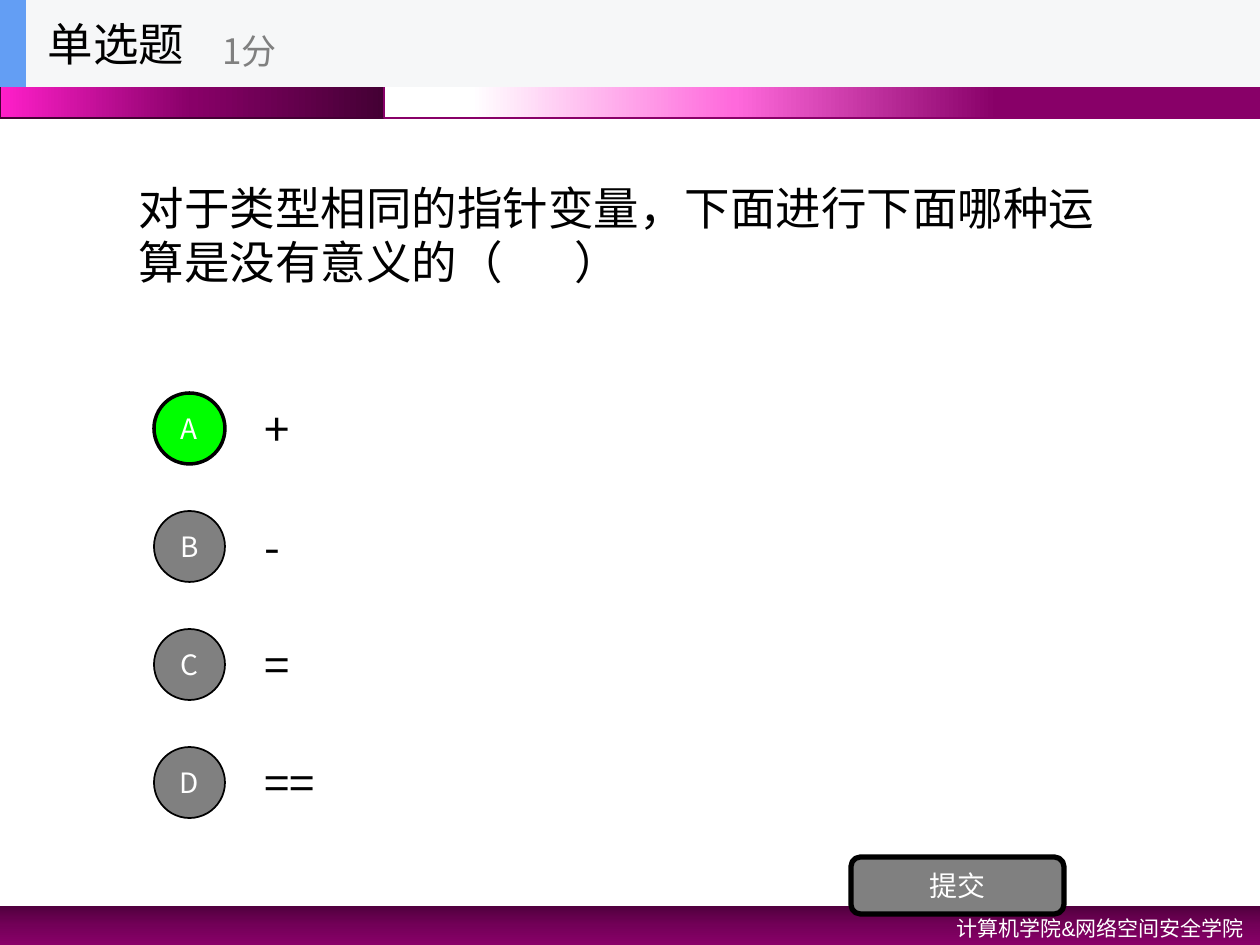
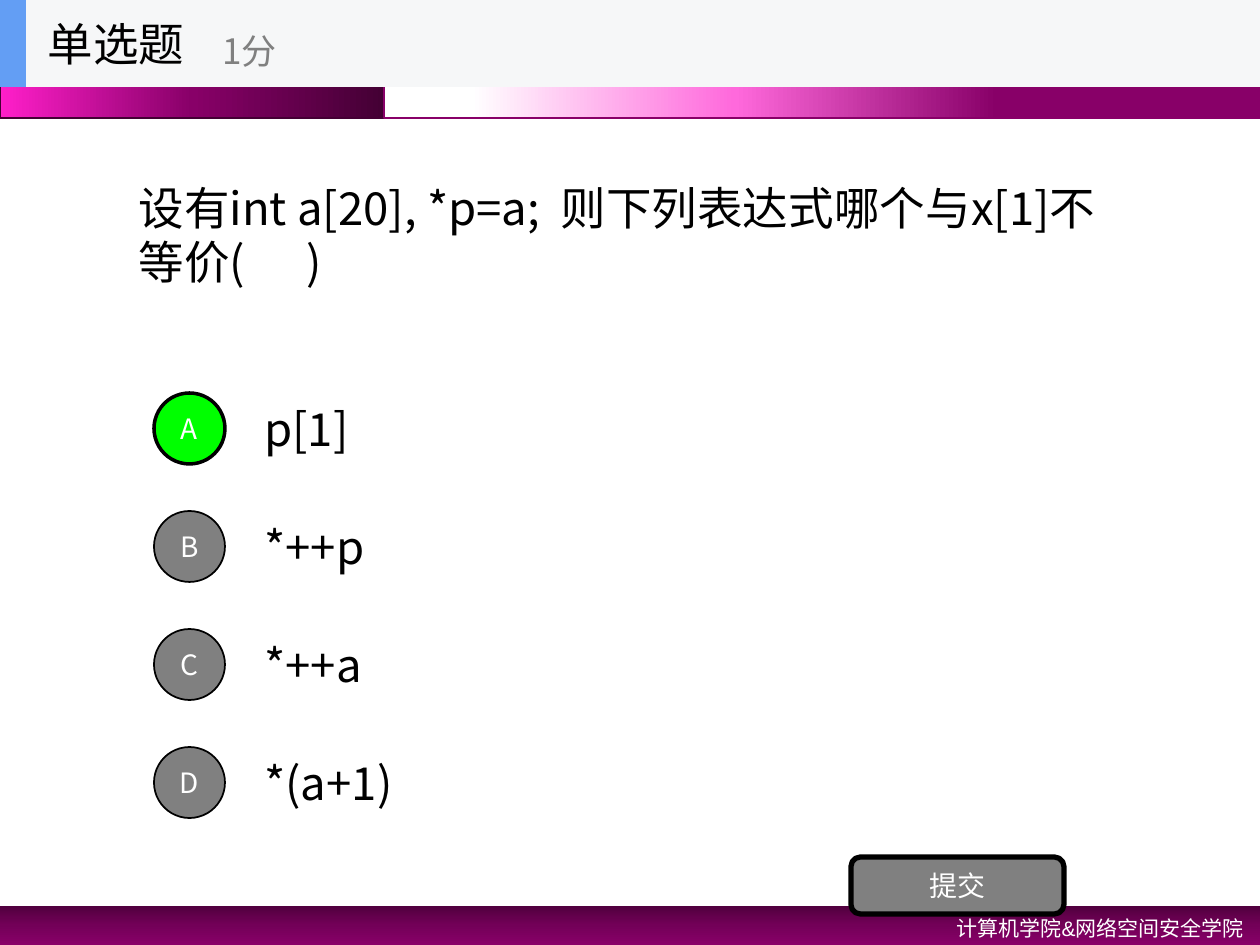
"""Build two single-choice quiz slides with shared bands and footer."""
import copy

import pptx
import pptx.dml.color
import pptx.enum.shapes
import pptx.enum.text
import pptx.oxml
import pptx.oxml.ns
import pptx.util

COLORS = {
    "black": "000000", "white": "FFFFFF", "grey": "808080", "correct": "00FF00",
    "header": "F6F7F8", "accent": "639EF4", "plum": "880068", "dark plum": "440034",
    "footer top": "51003E", "footer middle": "730058", "magenta": "FF1FCA", "pink": "FF69DC",
}
SCALE = 914400 / 126
CJK_FONT = "Noto Sans CJK SC"
SHAPES = pptx.enum.shapes.MSO_SHAPE
ALIGN = pptx.enum.text.PP_ALIGN
FOOTER = "计算机学院&网络空间安全学院"
OPTION_TOP, OPTION_STEP = 384, 118
QUESTIONS = [
    ("对于类型相同的指针变量，下面进行下面哪种运算是没有意义的（       ）",
     ["+", "-", "=", "=="]),
    ("设有int a[20], *p=a;  则下列表达式哪个与x[1]不等价(      )",
     ["p[1]", "*++p", "*++a", "*(a+1)"]),
]


def emu(pixels):
    """Convert pixels to EMU."""
    return pptx.util.Emu(round(pixels * SCALE))


def rgb(name):
    """Look up a named colour."""
    return pptx.dml.color.RGBColor.from_string(COLORS[name])


class QuizDeck:
    """Hold the deck, its style and the current slide."""

    def __init__(self):
        """Open an empty deck of the right size."""
        self.deck = pptx.Presentation()
        self.deck.slide_width, self.deck.slide_height = emu(1260), emu(945)
        self.page = None

    def new_page(self):
        """Start a title and content slide."""
        self.page = self.deck.slides.add_slide(self.deck.slide_layouts[1])

    def set_text(self, box, text, size, color="black", align=ALIGN.LEFT, font=CJK_FONT,
                 spacing=1.0):
        """Put one formatted paragraph in a box."""
        frame = box.text_frame
        frame_format = {
            "word_wrap": True,
            "auto_size": pptx.enum.text.MSO_AUTO_SIZE.NONE,
            "vertical_anchor": pptx.enum.text.MSO_ANCHOR.MIDDLE,
        }
        for name, value in frame_format.items():
            setattr(frame, name, value)
        para = frame.paragraphs[0]
        para_format = {"alignment": align, "line_spacing": spacing, "space_before": pptx.util.Pt(0)}
        for name, value in para_format.items():
            setattr(para, name, value)
        span = para.add_run()
        span.text = text
        for name, value in {"name": font, "size": pptx.util.Pt(size)}.items():
            setattr(span.font, name, value)
        span.font.color.rgb = rgb(color)
        for latin in box.element.iter(pptx.oxml.ns.qn("a:latin")):
            east_asian = pptx.oxml.parse_xml(f'<a:ea {pptx.oxml.ns.nsdecls("a")}/>')
            east_asian.set("typeface", CJK_FONT)
            latin.addnext(east_asian)

    def label(self, place, text, size, **style):
        """Add a text box."""
        box = self.page.shapes.add_textbox(*map(emu, place))
        self.set_text(box, text, size, **style)

    def placeholder(self, index, place, text, size):
        """Fill a placeholder and bring it to the front."""
        box = self.page.placeholders[index]
        for name, value in zip(("left", "top", "width", "height"), place):
            setattr(box, name, emu(value))
        self.set_text(box, text, size)
        properties = next(box.element.iter(pptx.oxml.ns.qn("a:pPr")))
        for name in ("marL", "indent"):
            properties.set(name, "0")
        properties.append(pptx.oxml.parse_xml(f'<a:buNone {pptx.oxml.ns.nsdecls("a")}/>'))
        box.element.getparent().append(box.element)

    def shape(self, place, kind=SHAPES.RECTANGLE, fill=None, line=None, width=1):
        """Add a preset shape with an optional solid fill and outline."""
        shape = self.page.shapes.add_shape(kind, *map(emu, place))
        shape.shadow.inherit = False
        if fill:
            shape.fill.solid()
            shape.fill.fore_color.rgb = rgb(fill)
        if line:
            shape.line.color.rgb = rgb(line)
            shape.line.width = pptx.util.Pt(width)
        else:
            shape.line.fill.background()
        return shape

    def band(self, place, angle, stops, line=None):
        """Add a rectangle with a three-stop gradient."""
        shape = self.shape(place, line=line)
        shape.fill.gradient()
        shape.fill.gradient_angle = angle
        stop_list = next(shape.element.iter(pptx.oxml.ns.qn("a:gsLst")))
        stop_list.append(copy.deepcopy(stop_list[0]))
        for stop, (position, color) in zip(shape.fill.gradient_stops, stops):
            stop.position = position
            stop.color.rgb = rgb(color)

    def button(self, place, kind, text, fill, width):
        """Add an outlined shape with centred white text."""
        shape = self.shape(place, kind, fill, "black", width)
        self.set_text(shape, text, 16, color="white", align=ALIGN.CENTER)

    def background(self):
        """Draw the bands and the footer."""
        self.band((0, 906, 1260, 39), 270,
                  [(0, "footer top"), (0.5, "footer middle"), (1, "plum")])
        self.band((0, 0, 384, 118), 180,
                  [(0, "dark plum"), (0.5, "plum"), (1, "magenta")], "dark plum")
        self.band((384, 0, 876, 118), 180,
                  [(0.3, "plum"), (0.6, "pink"), (0.9, "white")], "plum")
        self.label((809, 906, 447, 40), FOOTER, 12, color="white", align=ALIGN.RIGHT,
                   font="Arial", spacing=1.2)

    def header(self):
        """Draw the header bar with the question type and score."""
        self.shape((0, 0, 1260, 87), fill="header")
        self.shape((0, 0, 26, 87), fill="accent")
        self.placeholder(0, (35, 0, 262, 87), "单选题", 26)
        self.label((210, 15, 315, 71), "1分", 20, color="grey")

    def option(self, index, text):
        """Draw one answer with its lettered circle."""
        top = OPTION_TOP + index * OPTION_STEP
        fill, width = ("correct", 2) if index == 0 else ("grey", 1)
        self.label((252, top, 882, 88), text, 26)
        self.button((154, top + 9, 71, 71), SHAPES.OVAL, "ABCD"[index], fill, width)

    def question(self, text, options):
        """Build one complete question slide."""
        self.new_page()
        self.background()
        self.placeholder(1, (126, 87, 1008, 295), text, 26)
        for index, option in enumerate(options):
            self.option(index, option)
        self.button((851, 857, 213, 57), SHAPES.ROUNDED_RECTANGLE, "提交", "grey", 3)
        self.header()


def main():
    """Build and save the deck."""
    quiz = QuizDeck()
    for text, options in QUESTIONS:
        quiz.question(text, options)
    quiz.deck.save("out.pptx")


if __name__ == "__main__":
    main()
